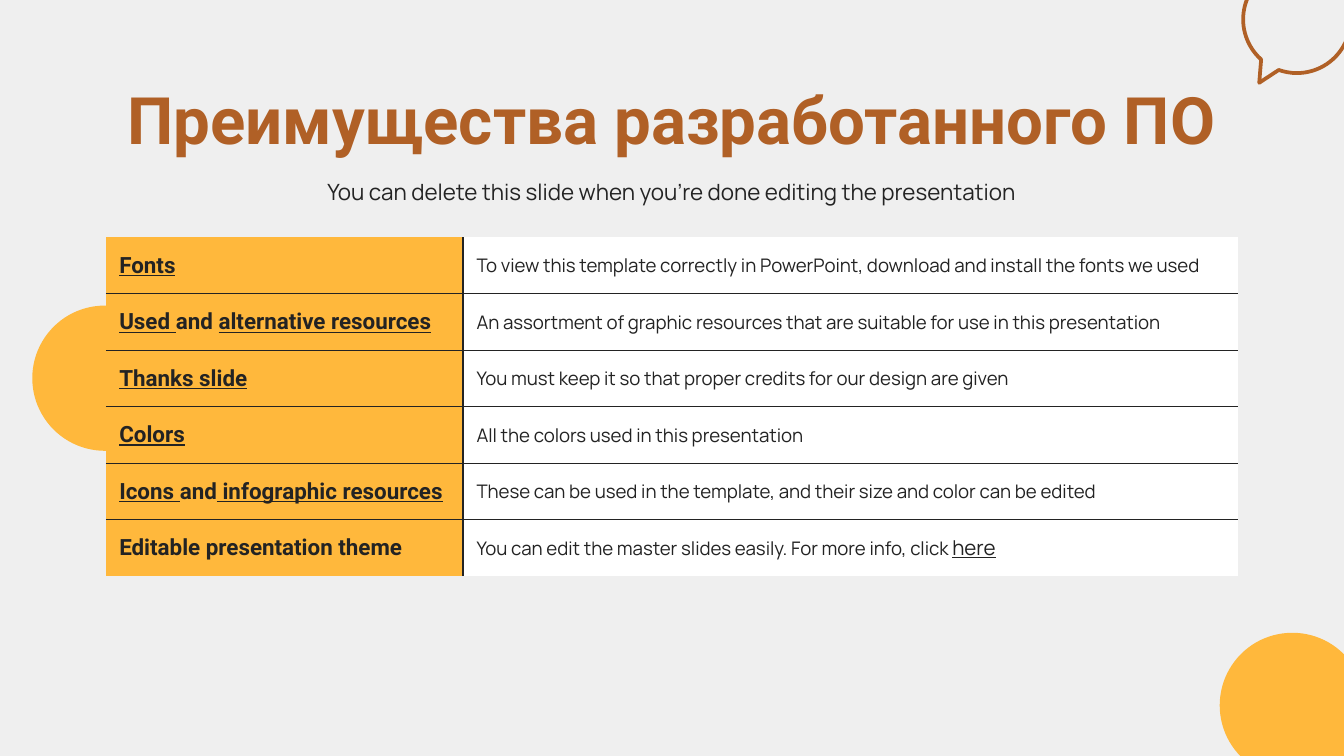
from lxml import etree
from pptx import Presentation
from pptx.dml.color import RGBColor
from pptx.enum.shapes import MSO_SHAPE
from pptx.enum.text import MSO_ANCHOR, PP_ALIGN
from pptx.oxml.ns import qn
from pptx.util import Pt

OVAL = MSO_SHAPE.OVAL
BUBBLE = MSO_SHAPE.OVAL_CALLOUT
MIDDLE = MSO_ANCHOR.MIDDLE
CENTER = PP_ALIGN.CENTER

PAPER, WHITE, AMBER, RUST, INK = "EFEFEF", "FFFFFF", "FFB83C", "B06026", "232323"
HEADING_FONT, BODY_FONT = "Roboto", "Manrope"
LEFT, WIDTH, INSET = 56.7, 606.6, 7.2
COLUMN_WIDTHS = (191.4, 415.2)
ROW_HEIGHT = 30.25

# Each label is a list of (text, underlined) pieces.
ROWS = [
    ([("Fonts", True)],
     "To view this template correctly in PowerPoint, download and install the fonts we used"),
    ([("Used ", True), ("and ", False), ("alternative resources", True)],
     "An assortment of graphic resources that are suitable for use in this presentation"),
    ([("Thanks slide", True)],
     "You must keep it so that proper credits for our design are given"),
    ([("Colors", True)],
     "All the colors used in this presentation"),
    ([("Icons ", True), ("and", False), (" infographic resources", True)],
     "These can be used in the template, and their size and color can be edited"),
    ([("Editable presentation theme", False)],
     "You can edit the master slides easily. For more info, click "),
]


def rgb(value):
    return RGBColor.from_string(value)


class SlideBuilder:
    def __init__(self, page):
        self.page = page
        page.background.fill.solid()
        page.background.fill.fore_color.rgb = rgb(PAPER)

    def style_span(self, span, font, size, color=INK, bold=False, underline=False):
        span.font.name = font
        span.font.size = Pt(size)
        span.font.color.rgb = rgb(color)
        span.font.bold = bold
        span.font.underline = underline

    def round_shape(self, kind, left, top, diameter):
        shape = self.page.shapes.add_shape(
            kind, Pt(left), Pt(top), Pt(diameter), Pt(diameter))
        shape.shadow.inherit = False
        return shape

    def circle(self, left, top, diameter):
        shape = self.round_shape(OVAL, left, top, diameter)
        shape.fill.solid()
        shape.fill.fore_color.rgb = rgb(AMBER)
        shape.line.fill.background()

    def speech_bubble(self, left, top, diameter, tip):
        """Outline a round bubble; tip is the tail's offset from the centre in diameters."""
        shape = self.round_shape(BUBBLE, left, top, diameter)
        shape.adjustments[0], shape.adjustments[1] = tip
        shape.fill.background()
        shape.line.color.rgb = rgb(RUST)
        shape.line.width = Pt(2)

    def centered_text(self, text, top, height, font, size, color, bold=False):
        box = self.page.shapes.add_textbox(Pt(LEFT), Pt(top), Pt(WIDTH), Pt(height))
        frame = box.text_frame
        frame.word_wrap = True
        frame.margin_left = frame.margin_right = Pt(INSET)
        frame.margin_top = frame.margin_bottom = Pt(INSET)
        frame.text = text
        para = frame.paragraphs[0]
        para.alignment = CENTER
        self.style_span(para.runs[0], font, size, color, bold)

    def cell_borders(self, cell, inner_sides):
        """Rule the inner sides of a cell and leave its outer sides bare."""
        properties = cell._tc.get_or_add_tcPr()
        for side in "LRTB":
            line = etree.SubElement(properties, qn(f"a:ln{side}"), w=str(Pt(0.75)))
            if side in inner_sides:
                fill = etree.SubElement(line, qn("a:solidFill"))
                etree.SubElement(fill, qn("a:srgbClr"), val=INK)
            else:
                etree.SubElement(line, qn("a:noFill"))

    def cell(self, cell, pieces, fill, font, inner_sides, bold=False):
        """Fill a cell with (text, size, underlined) pieces."""
        self.cell_borders(cell, inner_sides)
        cell.fill.solid()
        cell.fill.fore_color.rgb = rgb(fill)
        cell.vertical_anchor = MIDDLE
        cell.margin_left = cell.margin_right = Pt(INSET)
        cell.margin_top = cell.margin_bottom = 0
        para = cell.text_frame.paragraphs[0]
        for text, size, underline in pieces:
            span = para.add_run()
            span.text = text
            self.style_span(span, font, size, bold=bold, underline=underline)

    def resource_table(self, top):
        last = len(ROWS) - 1
        table = self.page.shapes.add_table(
            len(ROWS), 2, Pt(LEFT), Pt(top), Pt(WIDTH), Pt(ROW_HEIGHT * len(ROWS))).table
        table.first_row = table.horz_banding = False
        for column, width in zip(table.columns, COLUMN_WIDTHS):
            column.width = Pt(width)
        for index, (label, description) in enumerate(ROWS):
            table.rows[index].height = Pt(ROW_HEIGHT)
            sides = ("T" if index else "") + ("B" if index < last else "")
            names = [(text, 12, underline) for text, underline in label]
            details = [(description, 10, False)]
            if index == last:
                details.append(("here", 11, True))
            self.cell(table.cell(index, 0), names, AMBER, HEADING_FONT, sides + "R", bold=True)
            self.cell(table.cell(index, 1), details, WHITE, BODY_FONT, sides + "L")


def main():
    deck = Presentation()
    deck.slide_width, deck.slide_height = Pt(720), Pt(405)
    slide = SlideBuilder(deck.slides.add_slide(deck.slide_layouts[6]))
    slide.circle(17.3, 163.7, 77.8)
    slide.circle(653.4, 339, 77.8)
    slide.speech_bubble(666, -18.4, 57.6, tip=(-0.35, 0.59))
    slide.centered_text("Преимущества разработанного ПО", 35.3, 45.4,
                        HEADING_FONT, 35, RUST, bold=True)
    slide.centered_text("You can delete this slide when you’re done editing the presentation",
                        88.1, 27.4, BODY_FONT, 12, INK)
    slide.resource_table(127.2)
    deck.save("out.pptx")


if __name__ == "__main__":
    main()
